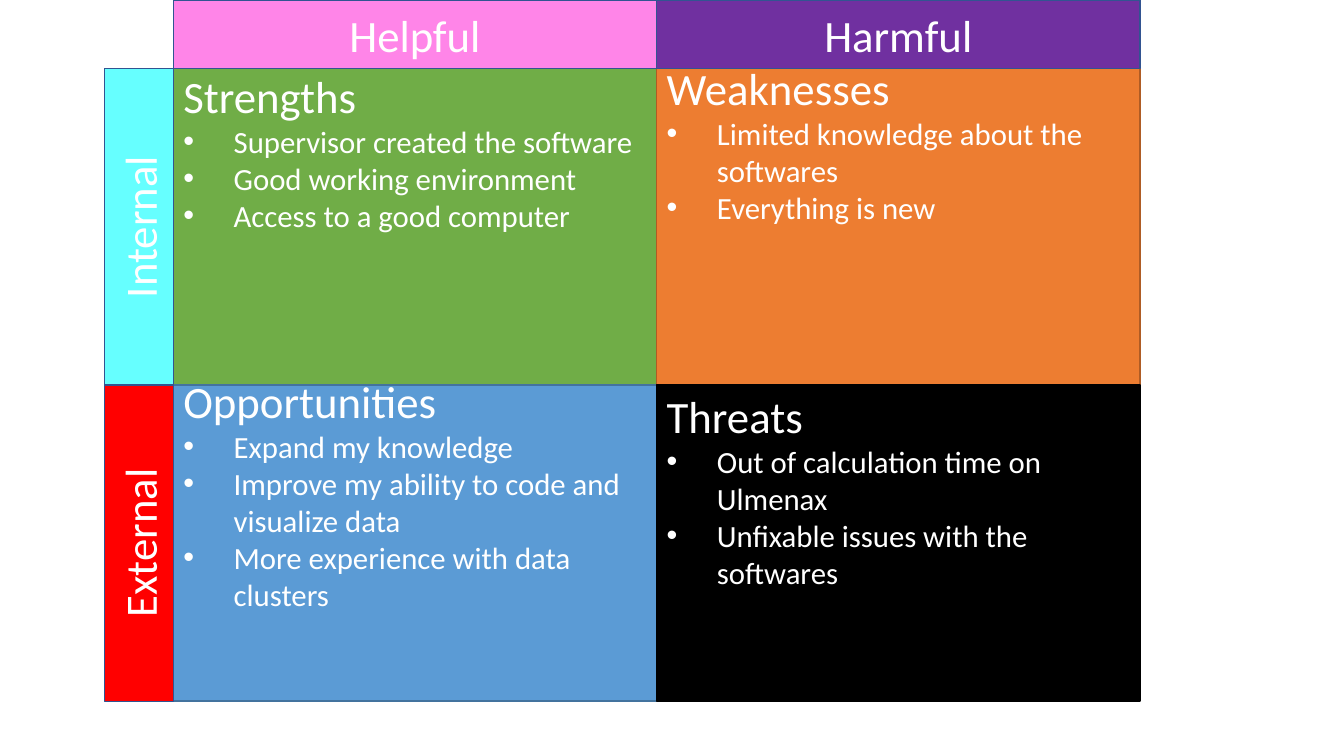
from lxml import etree
from pptx import Presentation
from pptx.dml.color import RGBColor
from pptx.enum import shapes, text
from pptx.oxml import ns
from pptx.util import Cm, Pt

WHITE = RGBColor(0xFF, 0xFF, 0xFF)
BLACK = RGBColor(0x00, 0x00, 0x00)
GREEN = RGBColor(0x70, 0xAD, 0x47)
DARK_GREEN = RGBColor(0x53, 0x80, 0x35)
BLUE = RGBColor(0x5B, 0x9B, 0xD5)
DARK_BLUE = RGBColor(0x43, 0x73, 0x9E)
ORANGE = RGBColor(0xED, 0x7D, 0x31)
DARK_ORANGE = RGBColor(0xAF, 0x5C, 0x24)
PINK = RGBColor(0xFF, 0x85, 0xE8)
PURPLE = RGBColor(0x70, 0x30, 0xA0)
CYAN = RGBColor(0x66, 0xFF, 0xFF)
RED = RGBColor(0xFF, 0x00, 0x00)
NAVY = RGBColor(0x32, 0x54, 0x91)

GRID_LEFT = 4.37
BAND = 1.73  # thickness of the header row and the side column
CELL_WIDTH = 12.18
CELL_HEIGHT = 7.97

presentation = Presentation()
presentation.slide_width = Cm(33.87)
presentation.slide_height = Cm(19.05)
slide = presentation.slides.add_slide(presentation.slide_layouts[6])


def add_box(left, top, width, height, fill, outline, title):
    shape = slide.shapes.add_shape(
        shapes.MSO_SHAPE.RECTANGLE, Cm(left), Cm(top), Cm(width), Cm(height))
    shape.shadow.inherit = False
    shape.fill.solid()
    shape.fill.fore_color.rgb = fill
    shape.line.color.rgb = outline
    shape.line.width = Pt(1)
    shape.text_frame.word_wrap = True
    shape.text_frame.vertical_anchor = text.MSO_ANCHOR.MIDDLE
    set_text(shape.text_frame.paragraphs[0], title, 32)
    return shape


def set_text(paragraph, words, size):
    paragraph.text = words
    paragraph.font.name = "Calibri"
    paragraph.font.size = Pt(size)
    paragraph.font.color.rgb = WHITE


# Column, row, fill, outline, top inset, title, points
quadrants = [
    (0, 0, GREEN, DARK_GREEN, 0, "Strengths",
     ["Supervisor created the software", "Good working environment",
      "Access to a good computer"]),
    (0, 1, BLUE, DARK_BLUE, -0.28, "Opportunities",
     ["Expand my knowledge", "Improve my ability to code and visualize data",
      "More experience with data clusters"]),
    (1, 0, ORANGE, DARK_ORANGE, -0.2, "Weaknesses",
     ["Limited knowledge about the softwares", "Everything is new"]),
    (1, 1, BLACK, BLACK, 0.1, "Threats",
     ["Out of calculation time on Ulmenax",
      "Unfixable issues with the softwares"]),
]
for column, row, fill, outline, inset, title, points in quadrants:
    quadrant = add_box(GRID_LEFT + column * CELL_WIDTH, BAND + row * CELL_HEIGHT,
                       CELL_WIDTH, CELL_HEIGHT, fill, outline, title)
    frame = quadrant.text_frame
    frame.vertical_anchor = text.MSO_ANCHOR.TOP
    frame.margin_top = Cm(inset)
    frame.paragraphs[0].alignment = text.PP_ALIGN.LEFT
    for point in points:
        paragraph = frame.add_paragraph()
        set_text(paragraph, point, 22)
        paragraph.alignment = text.PP_ALIGN.LEFT
        properties = paragraph._p.get_or_add_pPr()
        properties.set("marL", str(Cm(1.27)))
        properties.set("indent", str(Cm(-1.27)))
        bullet_font = etree.Element(ns.qn("a:buFont"), typeface="Arial")
        bullet = etree.Element(ns.qn("a:buChar"), char="•")
        properties.insert(0, bullet_font)
        properties.insert(1, bullet)

for column, (title, fill) in enumerate([("Helpful", PINK), ("Harmful", PURPLE)]):
    header = add_box(GRID_LEFT + column * CELL_WIDTH, 0, CELL_WIDTH, BAND,
                     fill, NAVY, title)
    header.text_frame.paragraphs[0].alignment = text.PP_ALIGN.CENTER

# A side label is a wide box turned upright about its centre.
side_left = GRID_LEFT - (BAND + CELL_HEIGHT) / 2
for row, (title, fill) in enumerate([("Internal", CYAN), ("External", RED)]):
    side_top = BAND + row * CELL_HEIGHT + (CELL_HEIGHT - BAND) / 2
    label = add_box(side_left, side_top, CELL_HEIGHT, BAND, fill, NAVY, title)
    label.rotation = 270
    label.text_frame.paragraphs[0].alignment = text.PP_ALIGN.CENTER

presentation.save("out.pptx")
